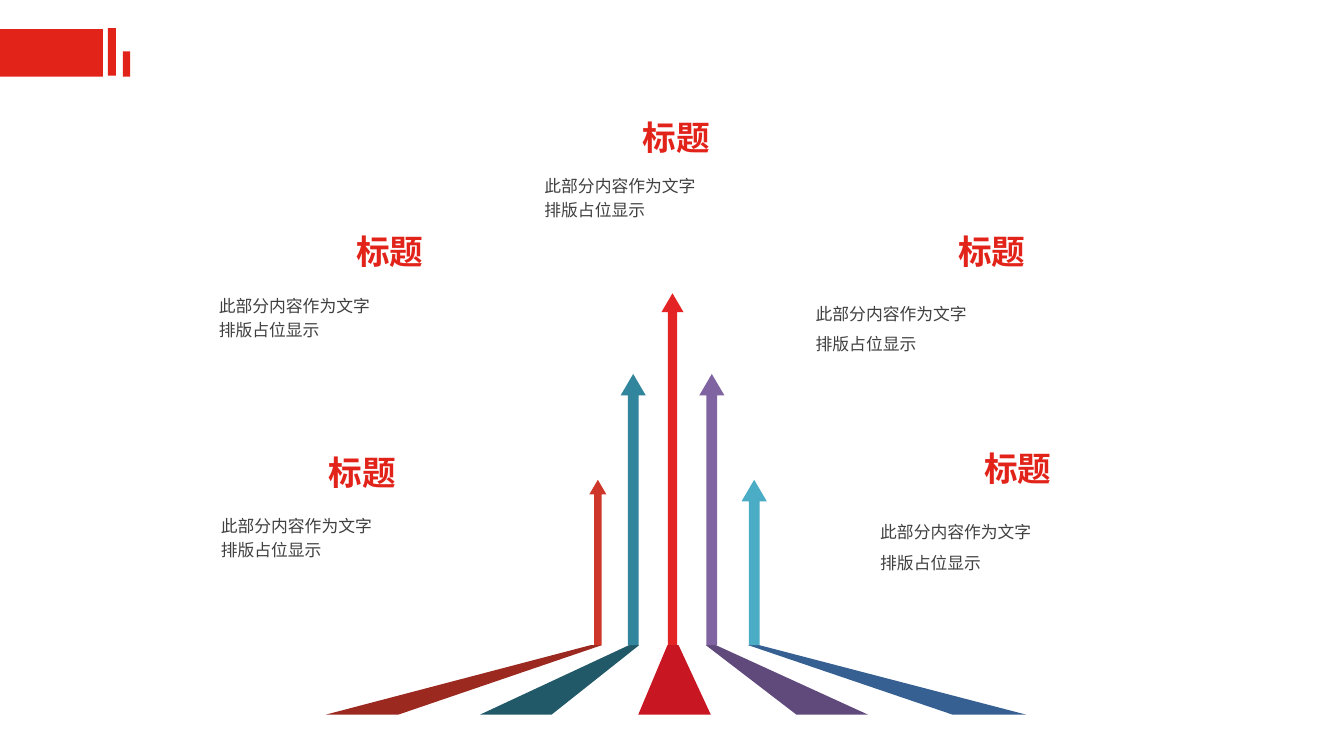
from pptx import Presentation
from pptx import util as u
from pptx.dml.color import RGBColor
from pptx.enum import shapes, text
from pptx.oxml.ns import qn
from lxml import etree

RED = RGBColor(0xE2, 0x23, 0x1A)
GREY = RGBColor(0x40, 0x40, 0x40)
SKY, BLUE = RGBColor(0x4B, 0xAC, 0xC6), RGBColor(0x37, 0x60, 0x92)
VIOLET, DARK_VIOLET = RGBColor(0x80, 0x64, 0xA2), RGBColor(0x60, 0x4A, 0x7B)
SCARLET, CRIMSON = RGBColor(0xE4, 0x24, 0x24), RGBColor(0xC8, 0x16, 0x23)
TEAL, DARK_TEAL = RGBColor(0x31, 0x85, 0x9C), RGBColor(0x21, 0x59, 0x68)
BRICK, DARK_BRICK = RGBColor(0xCF, 0x36, 0x2A), RGBColor(0x9B, 0x29, 0x20)

HORIZON, FLOOR = 6.4, 7.09
BODY_LINES = ("此部分内容作为文字", "排版占位显示")


class SlideBuilder:
    font_name = "Noto Sans CJK SC"

    def __init__(self, slide):
        self.slide = slide

    def paint(self, shape, color):
        shape.fill.solid()
        shape.fill.fore_color.rgb = color
        shape.line.fill.background()
        shape.shadow.inherit = False

    def preset(self, kind, box, color):
        shape = self.slide.shapes.add_shape(kind, *map(u.Inches, box))
        self.paint(shape, color)
        return shape

    def bar(self, box, color):
        self.preset(shapes.MSO_SHAPE.RECTANGLE, box, color)

    def arrow(self, center, length, width, color):
        """Upright arrow standing on the horizon."""
        box = (center - length / 2, HORIZON - length / 2 - width / 2, length, width)
        shape = self.preset(shapes.MSO_SHAPE.RIGHT_ARROW, box, color)
        shape.rotation = 270
        shape.adjustments[0] = 0.426
        shape.adjustments[1] = 0.852

    def ribbon(self, top_left, top_right, bottom_left, bottom_right, color):
        """Strip running from the horizon down to the floor."""
        points = [(u.Inches(x), u.Inches(y)) for x, y in (
            (top_left, HORIZON), (top_right, HORIZON),
            (bottom_right, FLOOR), (bottom_left, FLOOR))]
        builder = self.slide.shapes.build_freeform(*points[0])
        builder.add_line_segments(points[1:], close=True)
        self.paint(builder.convert_to_shape(), color)

    def text_box(self, box, wrap):
        frame = self.slide.shapes.add_textbox(*map(u.Inches, box)).text_frame
        frame.margin_left = frame.margin_right = 0
        frame.margin_top = frame.margin_bottom = 0
        frame.word_wrap = wrap
        return frame

    def add_run(self, paragraph, words, size, color, bold=False):
        run = paragraph.add_run()
        run.text = words
        font = run.font
        font.size, font.bold, font.name = u.Pt(size), bold, self.font_name
        font.color.rgb = color
        east_asian = etree.SubElement(font._element, qn("a:ea"))
        east_asian.set("typeface", self.font_name)

    def heading(self, box):
        frame = self.text_box(box, wrap=False)
        frame.vertical_anchor = text.MSO_ANCHOR.MIDDLE
        paragraph = frame.paragraphs[0]
        paragraph.alignment = text.PP_ALIGN.CENTER
        self.add_run(paragraph, "标题", 24, RED, bold=True)

    def body(self, box, line_spacing):
        paragraph = self.text_box(box, wrap=True).paragraphs[0]
        paragraph.line_spacing = line_spacing
        for index, line in enumerate(BODY_LINES):
            if index:
                paragraph.add_line_break()
            self.add_run(paragraph, line, 12, GREY)


def main():
    presentation = Presentation()
    presentation.slide_width = u.Inches(13.33)
    presentation.slide_height = u.Inches(7.5)
    builder = SlideBuilder(presentation.slides.add_slide(presentation.slide_layouts[6]))

    # Corner mark
    for box in ((1.07, 0.28, 0.08, 0.47), (1.22, 0.51, 0.07, 0.25), (0, 0.29, 1.02, 0.47)):
        builder.bar(box, RED)

    # Descriptions
    for box, line_spacing in (
        ((8.09, 2.91, 3.47, 1.11), 1.5),
        ((8.73, 5.08, 2.72, 0.58), 1.5),
        ((5.4, 1.7, 2.6, 0.89), 1.2),
        ((2.17, 2.89, 3.39, 1.13), 1.2),
        ((2.19, 5.08, 2.8, 1.07), 1.2),
    ):
        builder.body(box, line_spacing)

    # Ribbons, each with its arrow, from right to left
    for ribbon, arrow in (
        ((7.42, 7.53, 9.45, 10.18, BLUE), (7.48, 1.64, 0.25, SKY)),
        ((7, 7.1, 7.9, 8.61, DARK_VIOLET), (7.06, 2.69, 0.25, VIOLET)),
        ((6.62, 6.73, 6.33, 7.05, CRIMSON), (6.67, 3.49, 0.22, SCARLET)),
        ((6.24, 6.34, 4.76, 5.47, DARK_TEAL), (6.28, 2.69, 0.25, TEAL)),
        ((5.86, 5.97, 3.23, 3.95, DARK_BRICK), (5.93, 1.64, 0.17, BRICK)),
    ):
        builder.ribbon(*ribbon)
        builder.arrow(*arrow)

    # Headings
    for left, top in ((3.15, 2.28), (9.12, 2.28), (5.99, 1.15), (9.38, 4.43)):
        builder.heading((left, top, 1.43, 0.42))
    builder.heading((2.69, 4.4, 1.81, 0.56))

    presentation.save("out.pptx")


if __name__ == "__main__":
    main()
